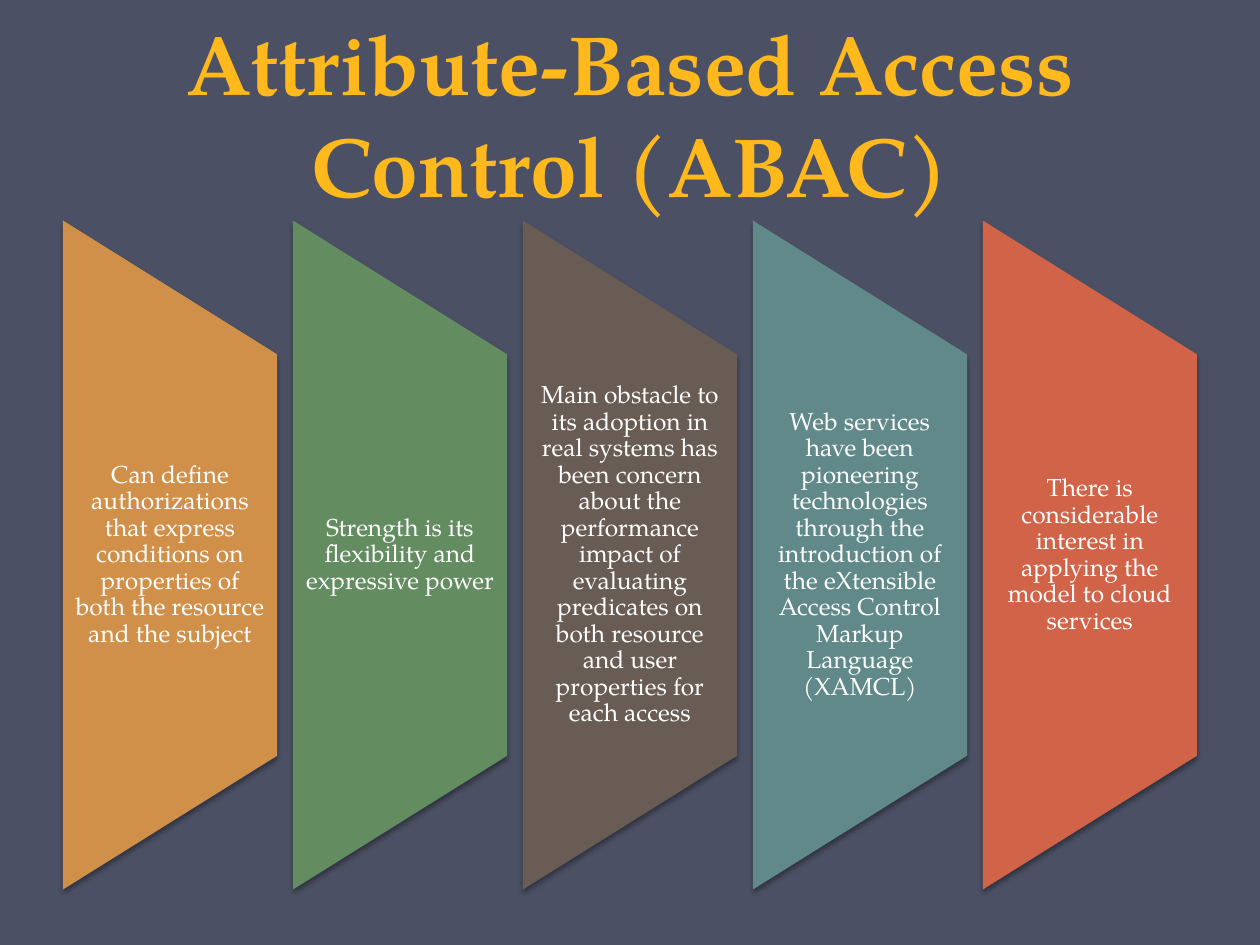
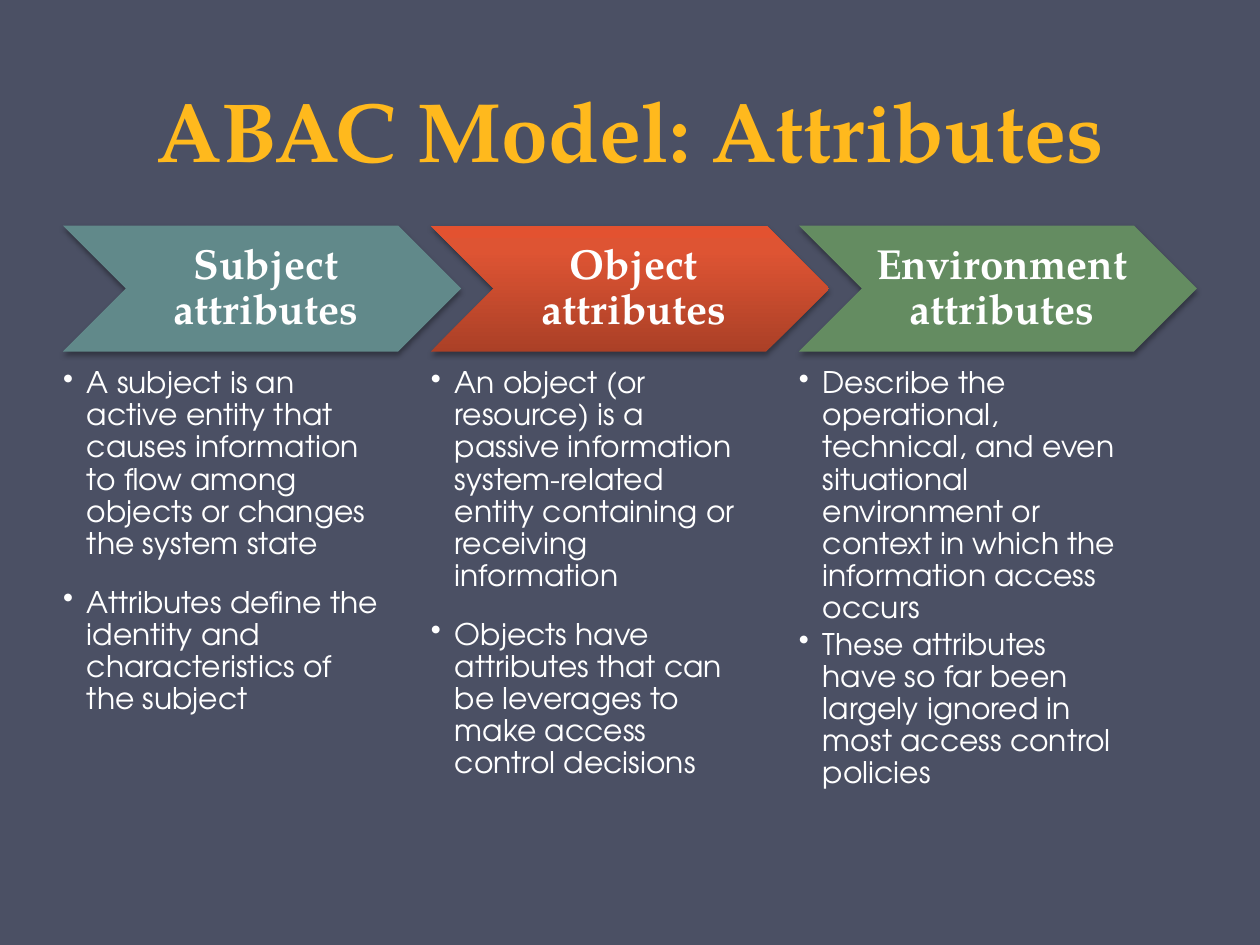
from collections import namedtuple
from copy import deepcopy
from dataclasses import dataclass

from lxml.etree import SubElement
from pptx import Presentation
from pptx.dml.color import RGBColor
from pptx.enum.shapes import MSO_SHAPE
from pptx.enum.text import MSO_ANCHOR, MSO_AUTO_SIZE, PP_ALIGN
from pptx.oxml.ns import qn
from pptx.util import Inches, Pt

Box = namedtuple("Box", "x y w h")


@dataclass(frozen=True)
class Theme:
    """Colours, fonts and type sizes shared by the slides."""
    back: str = "4B5064"
    gold: str = "FFB91D"
    white: str = "FFFFFF"
    ochre: str = "D19049"
    green: str = "648C61"
    brown: str = "695C54"
    teal: str = "61898A"
    red: str = "D16349"
    ember: tuple = ((0, "AB4027"), (0.8, "DE5433"), (1, "E35230"))
    serif: str = "TeX Gyre Pagella"
    sans: str = "TeX Gyre Adventor"
    title_size: int = 48
    heading_size: int = 24
    list_size: int = 17
    panel_size: int = 14


T = Theme()
SLIDE = Box(0, 0, 10, 7.5)
MARGIN = SLIDE.w / 20
CONTENT_W = SLIDE.w - 2 * MARGIN

PANELS = [
    (T.ochre, "Can define authorizations that express conditions on properties "
              "of both the resource and the subject"),
    (T.green, "Strength is its flexibility and expressive power"),
    (T.brown, "Main obstacle to its adoption in real systems has been concern "
              "about the performance impact of evaluating predicates on both "
              "resource and user properties for each access"),
    (T.teal, "Web services have been pioneering technologies through the "
             "introduction of the eXtensible Access Control Markup Language (XAMCL)"),
    (T.red, "There is considerable interest in applying the model to cloud services"),
]

ATTRIBUTES = [
    (T.teal, "Subject attributes", 15.2, [
        "A subject is an active entity that causes information to flow among "
        "objects or changes the system state",
        "Attributes define the identity and characteristics of the subject"]),
    (T.ember, "Object attributes", 15.2, [
        "An object (or resource) is a passive information system-related entity "
        "containing or receiving information",
        "Objects have attributes that can be leverages to make access control "
        "decisions"]),
    (T.green, "Environment attributes", 2.5, [
        "Describe the operational, technical, and even situational environment "
        "or context in which the information access occurs",
        "These attributes have so far been largely ignored in most access "
        "control policies"]),
]


def emu(box):
    """Return the box's four lengths as slide units."""
    return [Inches(v) for v in box]


def columns(box, n, gap):
    """Split a box into n equal columns; a negative gap overlaps them."""
    w = (box.w - (n - 1) * gap) / n
    return [Box(box.x + i * (w + gap), box.y, w, box.h) for i in range(n)]


def add_bullet(p, indent=0.19):
    """Give a paragraph a hanging round bullet."""
    pPr = p._p.get_or_add_pPr()
    pPr.set("marL", str(Inches(indent)))
    pPr.set("indent", str(-Inches(indent)))
    SubElement(pPr, qn("a:buChar")).set("char", "•")


def write(tf, *texts, size, font=T.serif, color=T.white, bold=False,
          align=PP_ALIGN.CENTER, anchor=MSO_ANCHOR.MIDDLE, spacing=0.9,
          after=0, bullets=False, insets=(0.1, 0.05, 0.1, 0.05)):
    """Fill a text frame with one formatted paragraph per text."""
    tf.word_wrap = True
    tf.auto_size = MSO_AUTO_SIZE.NONE
    tf.vertical_anchor = anchor
    tf.margin_left, tf.margin_top, tf.margin_right, tf.margin_bottom = emu(insets)
    for i, text in enumerate(texts):
        p = tf.add_paragraph() if i else tf.paragraphs[0]
        if bullets:
            add_bullet(p)
        p.alignment, p.line_spacing = align, spacing
        p.space_before, p.space_after = Pt(0), Pt(after)
        r = p.add_run()
        r.text = text
        r.font.name, r.font.size, r.font.bold = font, Pt(size), bold
        r.font.color.rgb = RGBColor.from_string(color)


def paint(s, fill):
    """Fill a shape with a colour, or with rising gradient stops."""
    if isinstance(fill, str):
        s.fill.solid()
        s.fill.fore_color.rgb = RGBColor.from_string(fill)
        return
    s.fill.gradient()
    s.fill.gradient_angle = 90
    stops = next(s._element.spPr.iter(qn("a:gsLst")))
    stops.append(deepcopy(stops[-1]))
    for stop, (position, color) in zip(s.fill.gradient_stops, fill):
        stop.position = position
        stop.color.rgb = RGBColor.from_string(color)


def add_block(slide, kind, box, fill):
    """Add an unlined shape with a soft shadow below it."""
    s = slide.shapes.add_shape(kind, *emu(box))
    paint(s, fill)
    s.line.fill.background()
    s.shadow.inherit = False
    shadow = SubElement(s._element.spPr.find(qn("a:effectLst")), qn("a:outerShdw"),
                        blurRad=str(Pt(3.1)), dist=str(Pt(1.8)),
                        dir="5400000", rotWithShape="0")
    black = SubElement(shadow, qn("a:srgbClr"), val="000000")
    SubElement(black, qn("a:alpha"), val="35000")
    return s


def add_text(slide, box, *texts, **style):
    """Add a text box."""
    write(slide.shapes.add_textbox(*emu(box)).text_frame, *texts, **style)


def add_titled_slide(prs, title, height):
    """Add a slide whose title sits at the foot of a band of this height."""
    slide = prs.slides.add_slide(prs.slide_layouts[5])
    s = slide.shapes.title
    s.left, s.top, s.width, s.height = emu(Box(MARGIN, 0, CONTENT_W, height))
    write(s.text_frame, title, size=T.title_size, color=T.gold, bold=True,
          anchor=MSO_ANCHOR.BOTTOM, spacing=Pt(58))
    return slide


def add_panel(slide, box, fill, text):
    """Draw a tapering panel with its text in the middle three fifths."""
    turned = Box(box.x + (box.w - box.h) / 2, box.y + (box.h - box.w) / 2,
                 box.h, box.w)
    add_block(slide, MSO_SHAPE.FLOWCHART_MANUAL_OPERATION, turned, fill).rotation = 270
    middle = Box(box.x, box.y + box.h / 5, box.w, box.h * 3 / 5)
    add_text(slide, middle, text, size=T.panel_size, insets=(0.1, 0, 0.1, 0))


def add_attribute(slide, box, fill, heading, after, points):
    """Draw a chevron heading with a bulleted list under it."""
    head = Box(box.x, box.y, box.w, 1)
    s = add_block(slide, MSO_SHAPE.CHEVRON, head, fill)
    write(s.text_frame, heading, size=T.heading_size, bold=True,
          insets=(0.1, 0.04, 0.04, 0.04))
    top = head.h + 0.13
    body = Box(box.x, box.y + top, box.w * 0.8, box.h - top)
    add_text(slide, body, *points, size=T.list_size, font=T.sans,
             align=PP_ALIGN.LEFT, anchor=MSO_ANCHOR.TOP, after=after,
             bullets=True, insets=(0, 0, 0, 0))


def panels_slide(prs):
    """Build the slide of five tapering panels."""
    slide = add_titled_slide(prs, "Attribute-Based Access Control (ABAC)", 1.75)
    area = Box(MARGIN, 1.75, CONTENT_W, 5.31)
    for box, panel in zip(columns(area, len(PANELS), 0.125), PANELS):
        add_panel(slide, box, *panel)


def attributes_slide(prs):
    """Build the slide of three attribute columns."""
    slide = add_titled_slide(prs, "ABAC Model: Attributes", 1.47)
    area = Box(MARGIN, 1.79, CONTENT_W, 4.86)
    for box, attribute in zip(columns(area, len(ATTRIBUTES), -0.24), ATTRIBUTES):
        add_attribute(slide, box, *attribute)


def main():
    """Build and save the presentation."""
    prs = Presentation()
    prs.slide_width, prs.slide_height = Inches(SLIDE.w), Inches(SLIDE.h)
    fill = prs.slide_master.background.fill
    fill.solid()
    fill.fore_color.rgb = RGBColor.from_string(T.back)
    panels_slide(prs)
    attributes_slide(prs)
    prs.save("out.pptx")


if __name__ == "__main__":
    main()
